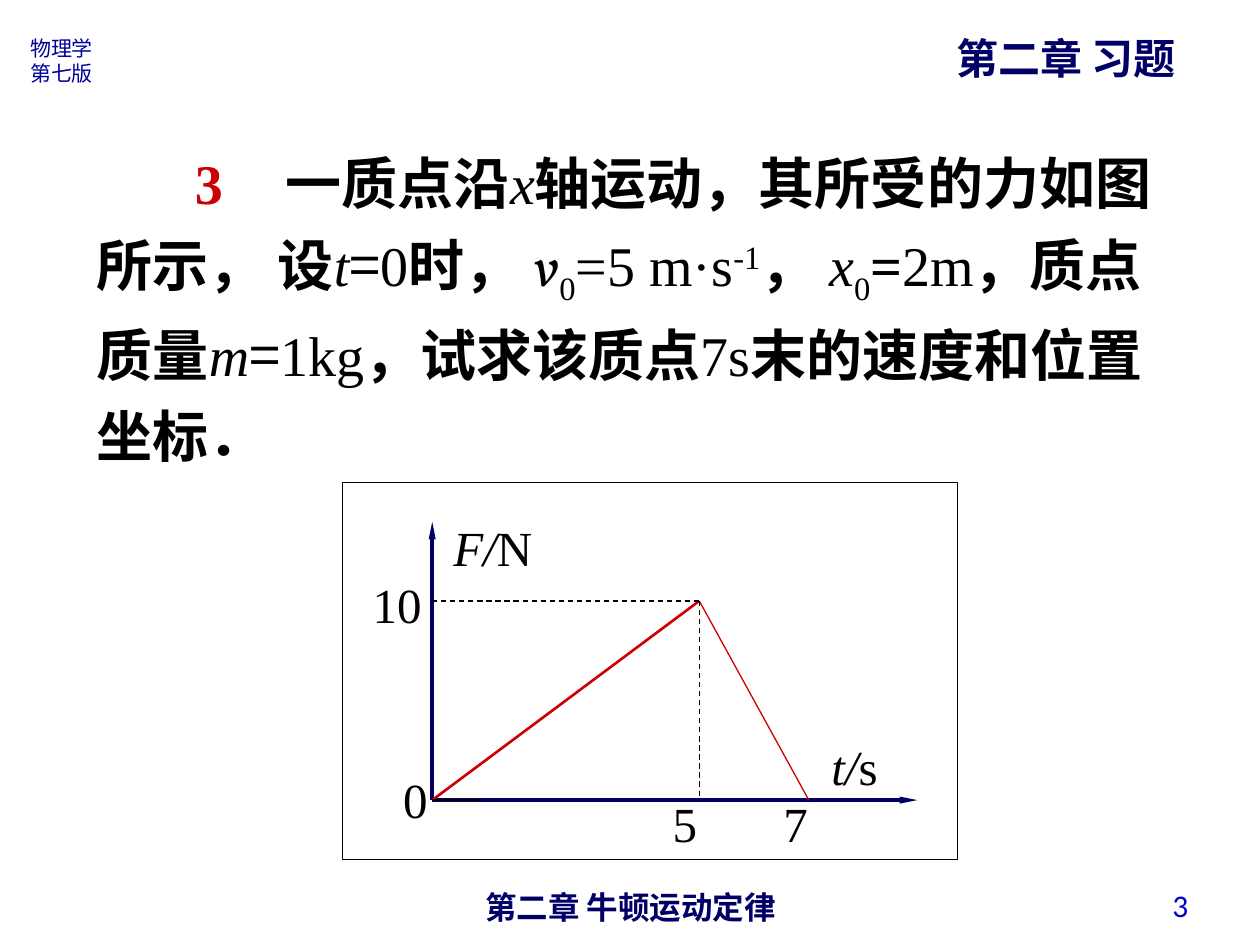
import pptx
import pptx.dml.color
import pptx.enum.dml
import pptx.enum.lang
import pptx.enum.shapes
import pptx.enum.text
import pptx.oxml.ns
import pptx.util
import lxml.etree

Pt = pptx.util.Pt
ALIGN = pptx.enum.text.PP_ALIGN
ANCHOR = pptx.enum.text.MSO_ANCHOR
DASH = pptx.enum.dml.MSO_LINE.DASH
NAVY, RED, BLACK = "000066", "CC0000", "000000"
SERIF, HAN = "Times New Roman", "Noto Sans CJK SC"


def color(hex_string):
    return pptx.dml.color.RGBColor.from_string(hex_string)


def add_element(parent, tag, **attributes):
    return lxml.etree.SubElement(parent, pptx.oxml.ns.qn(tag), attributes)


def write(paragraph, text, size=32, font=SERIF, ink=BLACK, bold=False, italic=False, baseline=0):
    run = paragraph.add_run()
    run.text = text
    run.font.size = Pt(size)
    run.font.name = font
    run.font.bold = bold
    run.font.italic = italic
    run.font.color.rgb = color(ink)
    run.font.language_id = pptx.enum.lang.MSO_LANGUAGE_ID.SIMPLIFIED_CHINESE
    properties = run._r.get_or_add_rPr()
    if baseline:
        properties.set("baseline", str(baseline * 1000))
    add_element(properties, "a:ea", typeface=HAN)


class ExerciseSlide:
    def __init__(self, presentation):
        self.slide = presentation.slides.add_slide(presentation.slide_layouts[6])
        self.shapes = self.slide.shapes

    def box(self, left, top, width, height, wrap=True, anchor=ANCHOR.TOP):
        frame = self.shapes.add_textbox(Pt(left), Pt(top), Pt(width), Pt(height)).text_frame
        frame.word_wrap = wrap
        frame.vertical_anchor = anchor
        return frame

    def label(self, left, top, width, height, *lines, align=ALIGN.LEFT,
              wrap=True, anchor=ANCHOR.TOP, **style):
        frame = self.box(left, top, width, height, wrap, anchor)
        for index, line in enumerate(lines):
            paragraph = frame.add_paragraph() if index else frame.paragraphs[0]
            paragraph.alignment = align
            write(paragraph, line, **style)

    def problem(self, left, top, width, height, pieces, indent, tab):
        paragraph = self.box(left, top, width, height).paragraphs[0]
        properties = paragraph._p.get_or_add_pPr()
        properties.set("marL", "0")
        properties.set("indent", str(Pt(indent)))
        stops = add_element(properties, "a:tabLst")
        add_element(stops, "a:tab", pos=str(Pt(tab)), algn="l")
        paragraph.line_spacing = 1.2
        for text, style in pieces:
            write(paragraph, text, **style)

    def quantity(self, left, top, width, symbol, unit):
        paragraph = self.box(left, top, width, 41).paragraphs[0]
        write(paragraph, symbol + "/", size=28, italic=True)
        write(paragraph, unit, size=28)

    def line(self, start, end, ink, weight, dash=None, arrow=False):
        connector = self.shapes.add_connector(
            pptx.enum.shapes.MSO_CONNECTOR.STRAIGHT, *(Pt(value) for value in start + end))
        connector.line.color.rgb = color(ink)
        connector.line.width = Pt(weight)
        if dash:
            connector.line.dash_style = dash
        if arrow:
            add_element(connector.line._get_or_add_ln(), "a:tailEnd", type="triangle", w="sm", len="lg")
        add_element(connector._element.spPr, "a:effectLst")

    def frame(self, left, top, width, height):
        border = self.shapes.add_shape(
            pptx.enum.shapes.MSO_SHAPE.RECTANGLE, Pt(left), Pt(top), Pt(width), Pt(height))
        border.shadow.inherit = False
        border.fill.background()
        border.line.color.rgb = color(BLACK)
        border.line.width = Pt(0.75)


def main():
    presentation = pptx.Presentation()
    presentation.slide_width, presentation.slide_height = Pt(720), Pt(540)
    page = ExerciseSlide(presentation)

    page.label(246.2, 504, 228.2, 21, "第二章 牛顿运动定律", align=ALIGN.CENTER,
               size=18, font="Arial", ink=NAVY, bold=True)
    page.label(539.3, 15.1, 139.7, 36, "第二章 习题", wrap=False,
               size=24, font=HAN, ink=NAVY, bold=True)
    page.label(518.4, 502.6, 167.8, 28.8, "3", align=ALIGN.RIGHT, anchor=ANCHOR.MIDDLE,
               size=18, font="Calibri", ink="0000CC")
    page.label(10.1, 16.6, 51.8, 36, "物理学", "第七版", size=12, font=HAN, ink="000099")

    bold, italic, plain = {"bold": True}, {"italic": True}, {}
    subscript, superscript = {"baseline": -25}, {"baseline": 30}
    equals = {"font": HAN}
    page.problem(48.2, 73.4, 635, 198, [
        ("3\t", {"bold": True, "ink": RED}),
        ("一质点沿", bold), ("x", italic),
        ("轴运动，其所受的力如图所示， 设", bold),
        ("t", italic), ("=", equals), ("0", plain), ("时， ", bold),
        ("v", {"italic": True, "font": "Vollkorn"}), ("0", subscript),
        ("=5 m·s", plain), ("-1", superscript), ("， ", bold),
        ("x", italic), ("0", subscript), ("=", bold), ("2m", plain),
        ("，质点质量", bold), ("m", italic), ("=", equals), ("1kg", plain),
        ("，试求该质点", bold), ("7s", plain), ("末的速度和位置坐标．", bold),
    ], indent=56, tab=94)

    origin, peak, finish = (247, 457.2), (399.6, 343.4), (462.2, 457.2)
    page.line(origin, (524.2, origin[1]), NAVY, 2, arrow=True)
    page.line(origin, (origin[0], 298.1), NAVY, 2, arrow=True)
    page.line(origin, peak, RED, 1.5)
    page.line(peak, finish, RED, 0.75)
    page.line(origin, (275, origin[1]), BLACK, 0.75)
    page.line((origin[0], peak[1]), peak, BLACK, 0.75, DASH)
    page.line(peak, (peak[0], origin[1]), BLACK, 0.75, DASH)

    page.quantity(468, 417.6, 56.9, "t", "s")
    page.quantity(252, 292.3, 85, "F", "N")
    for value, left, top, width in [("0", 223.2, 436.3, 39.6), ("5", 377.3, 450, 39.6),
                                    ("10", 205.9, 324.7, 62.6), ("7", 440.6, 450, 39.6)]:
        page.label(left, top, width, 41, value, size=28)
    page.frame(195.8, 275.8, 351.4, 215.3)

    presentation.save("out.pptx")


if __name__ == "__main__":
    main()
